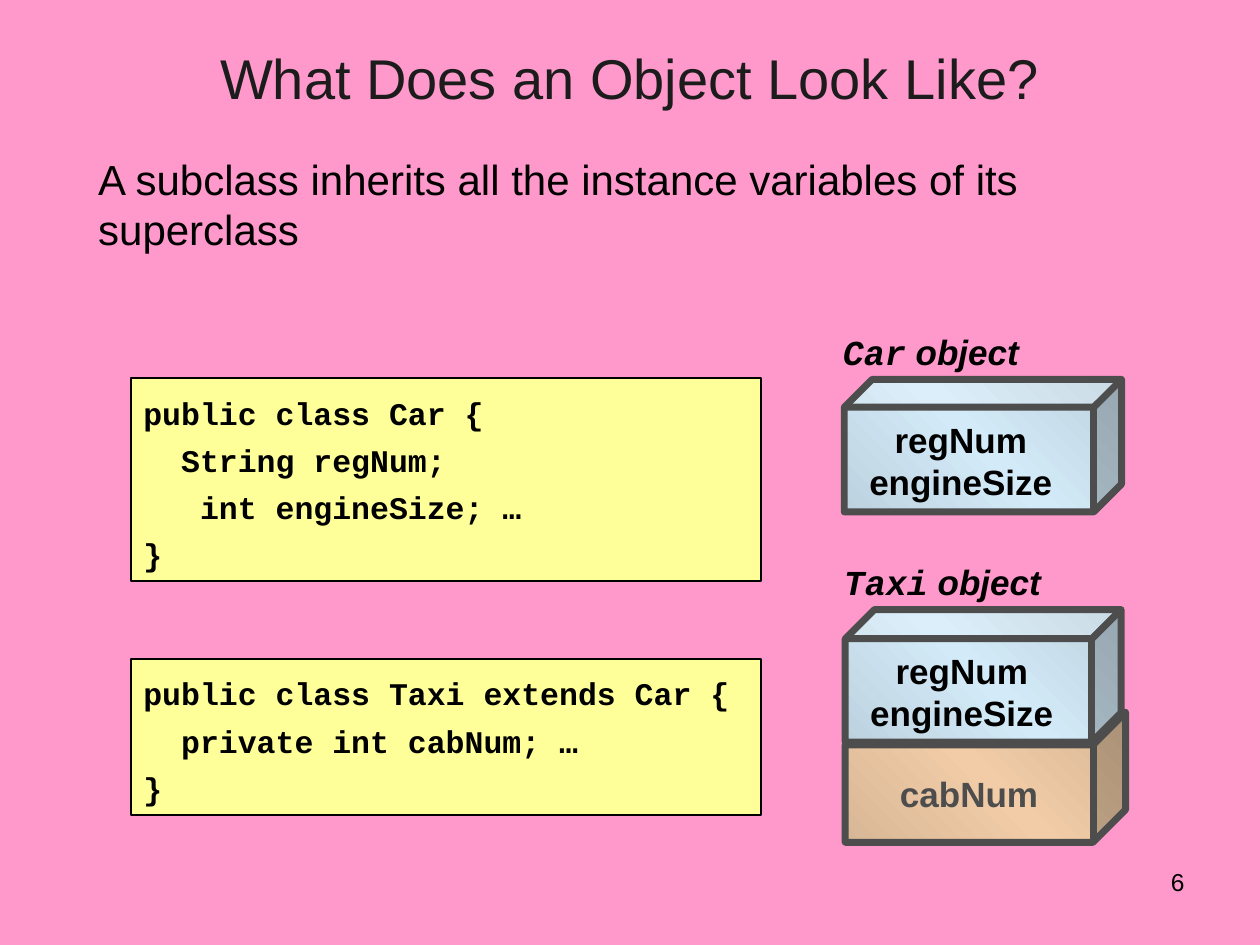
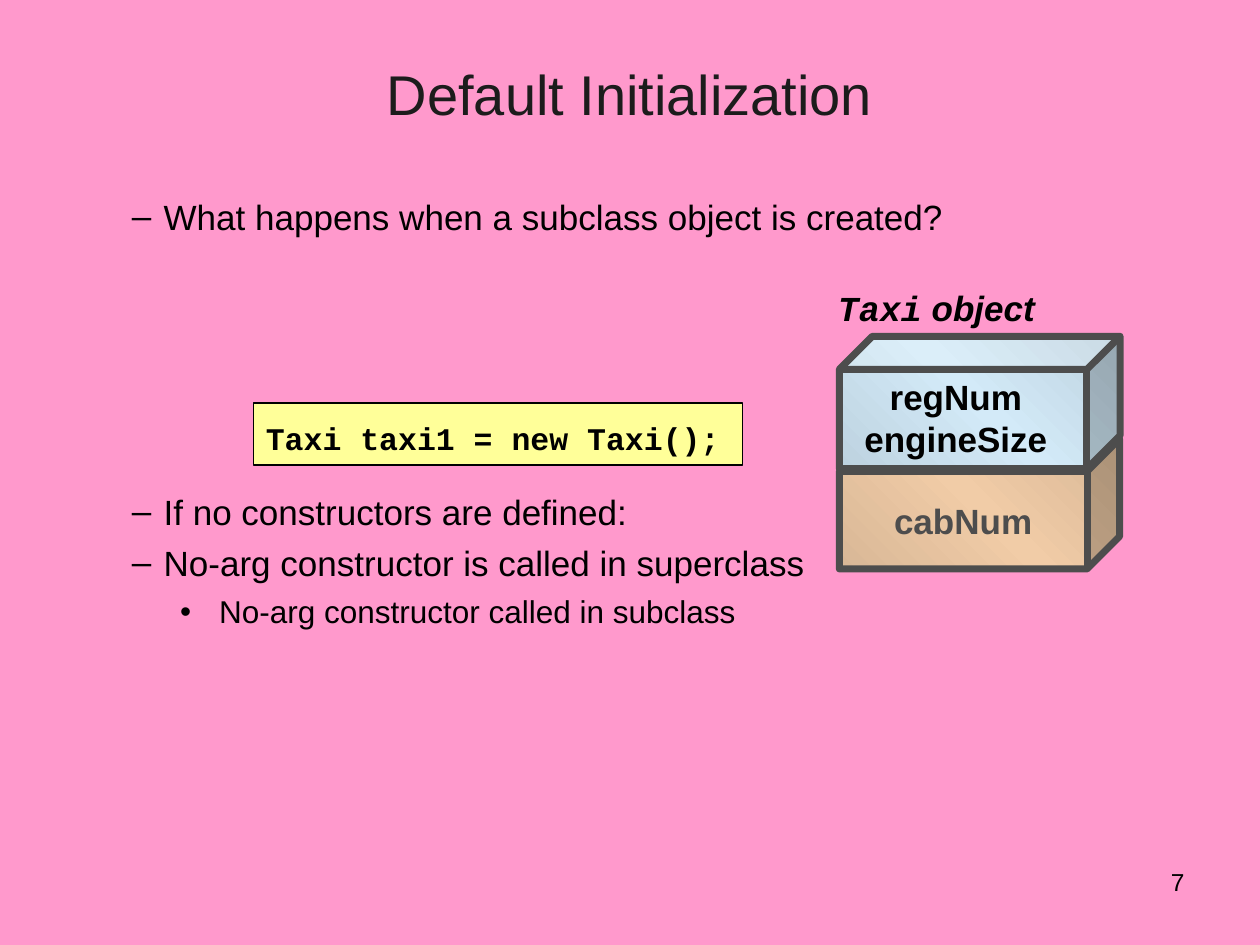
from copy import deepcopy
from dataclasses import dataclass
from lxml.etree import SubElement as Sub
from pptx import Presentation
from pptx.dml.color import RGBColor as RGB
from pptx.enum.shapes import MSO_SHAPE as Kind
from pptx.enum.text import MSO_ANCHOR as Anchor, PP_ALIGN as Align
from pptx.oxml.ns import qn
from pptx.util import Cm, Pt


@dataclass(frozen=True)
class Theme:
    """Colours, fonts and type sizes that the slides share."""
    back: str = "FF99CC"
    ink: str = "000000"
    head: str = "1C1C1C"
    edge: str = "4D4D4D"
    code: str = "FFFF99"
    blue: tuple = ("BDD2DF", "D3EAF8", "BDD2DF")
    tan: tuple = ("D8B796", "F1CCA7", "D8B796")
    sans: str = "Arial"
    mono: str = "Courier New"
    title: int = 32
    lead: int = 24
    text: int = 20
    small: int = 18
    page: int = 14


T = Theme()


def add_run(para, text, size, font=T.sans, ink=T.ink, bold=False, slant=False):
    """Append one styled run to a paragraph."""
    run = para.add_run()
    run.text = text
    face = run.font
    face.name, face.size = font, Pt(size)
    face.bold, face.italic = bold, slant
    face.color.rgb = RGB.from_string(ink)


def next_para(frame):
    """Return the unused first paragraph or a new one."""
    first = frame.paragraphs[0]
    return frame.add_paragraph() if first.runs else first


def add_text(slide, left, top, wide, high):
    """Add an empty wrapping text box and return its frame."""
    frame = slide.shapes.add_textbox(Cm(left), Cm(top), Cm(wide), Cm(high)).text_frame
    frame.word_wrap = True
    return frame


def add_line(frame, text, size, align=Align.LEFT, **style):
    """Add a paragraph that holds a single run."""
    para = next_para(frame)
    para.alignment = align
    add_run(para, text, size, **style)
    return para


def add_shape(slide, kind, place, edge, width):
    """Add a flat preset shape with an outline."""
    shape = slide.shapes.add_shape(kind, *map(Cm, place))
    shape.shadow.inherit = False
    shape.line.color.rgb = RGB.from_string(edge)
    shape.line.width = Pt(width)
    return shape


def add_code(slide, lines, left, top, wide, high):
    """Draw a framed code listing."""
    box = add_shape(slide, Kind.RECTANGLE, (left, top, wide, high), T.ink, 1)
    box.fill.solid()
    box.fill.fore_color.rgb = RGB.from_string(T.code)
    frame = box.text_frame
    frame.word_wrap = True
    frame.vertical_anchor = Anchor.TOP
    for line in lines:
        para = add_line(frame, line, T.small, font=T.mono, bold=True)
        para.line_spacing = 1.25


def add_cube(slide, tones, place, depth):
    """Draw a cube with a diagonal three-stop gradient."""
    cube = add_shape(slide, Kind.CUBE, place, T.edge, 4)
    cube.adjustments[0] = depth
    cube.fill.gradient()
    cube.fill.gradient_angle = 45
    stops = cube.element.spPr.find(".//" + qn("a:gsLst"))
    stops.append(deepcopy(stops[-1]))
    for spot, (stop, tone) in enumerate(zip(cube.fill.gradient_stops, tones)):
        stop.position = spot / 2
        stop.color.rgb = RGB.from_string(tone)
    return cube


def add_car(slide, name, left, top, wide, depth):
    """Draw the inherited part of an object with its label."""
    add_cube(slide, T.blue, (left, top, wide, 2.67), depth)
    frame = add_text(slide, left + 0.14, top + 0.67, 4.42, 1.93)
    for field in ("regNum", "engineSize"):
        add_line(frame, field, T.text, Align.CENTER, bold=True)
    para = add_text(slide, left - 0.28, top - 1.06, 5.18, 1.07).paragraphs[0]
    para.line_spacing = 0.95
    add_run(para, name, T.text, T.mono, bold=True, slant=True)
    add_run(para, " object", T.text, bold=True, slant=True)


def add_taxi(slide, left, top, wide, depth):
    """Draw a taxi object: its own field below the inherited part."""
    tail = add_cube(slide, T.tan, (left, top + 2.07, 5.65, 2.62), 0.25)
    frame = tail.text_frame
    frame.word_wrap = False
    frame.vertical_anchor = Anchor.MIDDLE
    add_line(frame, "cabNum", T.text, Align.CENTER, ink=T.edge, bold=True)
    add_car(slide, "Taxi", left, top, wide, depth)


def add_point(frame, mark, text, size, left, hang, gap):
    """Add a bulleted paragraph with a hanging indent."""
    para = next_para(frame)
    props = para._p.get_or_add_pPr()
    props.set("marL", str(Cm(left)))
    props.set("indent", str(-Cm(hang)))
    Sub(props, qn("a:buFont"), typeface=T.sans)
    Sub(props, qn("a:buChar"), char=mark)
    para.space_before = Pt(gap)
    add_run(para, text, size)


def add_slide(deck, title, top, page):
    """Add a slide with its background, title and page number."""
    slide = deck.slides.add_slide(deck.slide_layouts[6])
    slide.background.fill.solid()
    slide.background.fill.fore_color.rgb = RGB.from_string(T.back)
    add_line(add_text(slide, 1.27, top, 22.86, 1.78), title, T.title, Align.CENTER, ink=T.head)
    add_line(add_text(slide, 18.21, 17.35, 5.92, 1.32), str(page), T.page, Align.RIGHT)
    return slide


def draw_look(deck):
    """Build the slide on what an object looks like."""
    slide = add_slide(deck, "What Does an Object Look Like?", 0.76, 6)
    add_line(add_text(slide, 1.73, 2.97, 22.15, 2.29),
             "A subclass inherits all the instance variables of its superclass", T.lead)
    add_code(slide, ("public class Car {", "  String regNum;", "   int engineSize; …", "}"),
             2.64, 7.62, 12.7, 4.09)
    add_code(slide, ("public class Taxi extends Car {", "  private int cabNum; …", "}"),
             2.64, 13.28, 12.7, 3.15)
    add_car(slide, "Car", 17.02, 7.65, 5.59, 0.21)
    add_taxi(slide, 17.04, 12.29, 5.56, 0.22)


def draw_start(deck):
    """Build the slide on default initialization."""
    slide = add_slide(deck, "Default Initialization", 1.07, 7)
    frame = add_text(slide, 2.11, 3.81, 20.93, 9.12)
    dash = (T.text, 0.94, 0.64)
    add_point(frame, "–", "What happens when a subclass object is created?", *dash, 0)
    add_point(frame, "–", "If no constructors are defined:", *dash, 145)
    add_point(frame, "–", "No-arg constructor is called in superclass", *dash, 5)
    add_point(frame, "•", "No-arg constructor called in subclass", T.small, 2.06, 0.79, 5)
    add_taxi(slide, 16.92, 6.78, 5.66, 0.25)
    add_code(slide, ("Taxi taxi1 = new Taxi();",), 5.11, 8.13, 9.86, 1.24)


def main():
    """Build and save the deck."""
    deck = Presentation()
    deck.slide_width, deck.slide_height = Cm(25.4), Cm(19.05)
    draw_look(deck)
    draw_start(deck)
    deck.save("out.pptx")


if __name__ == "__main__":
    main()
